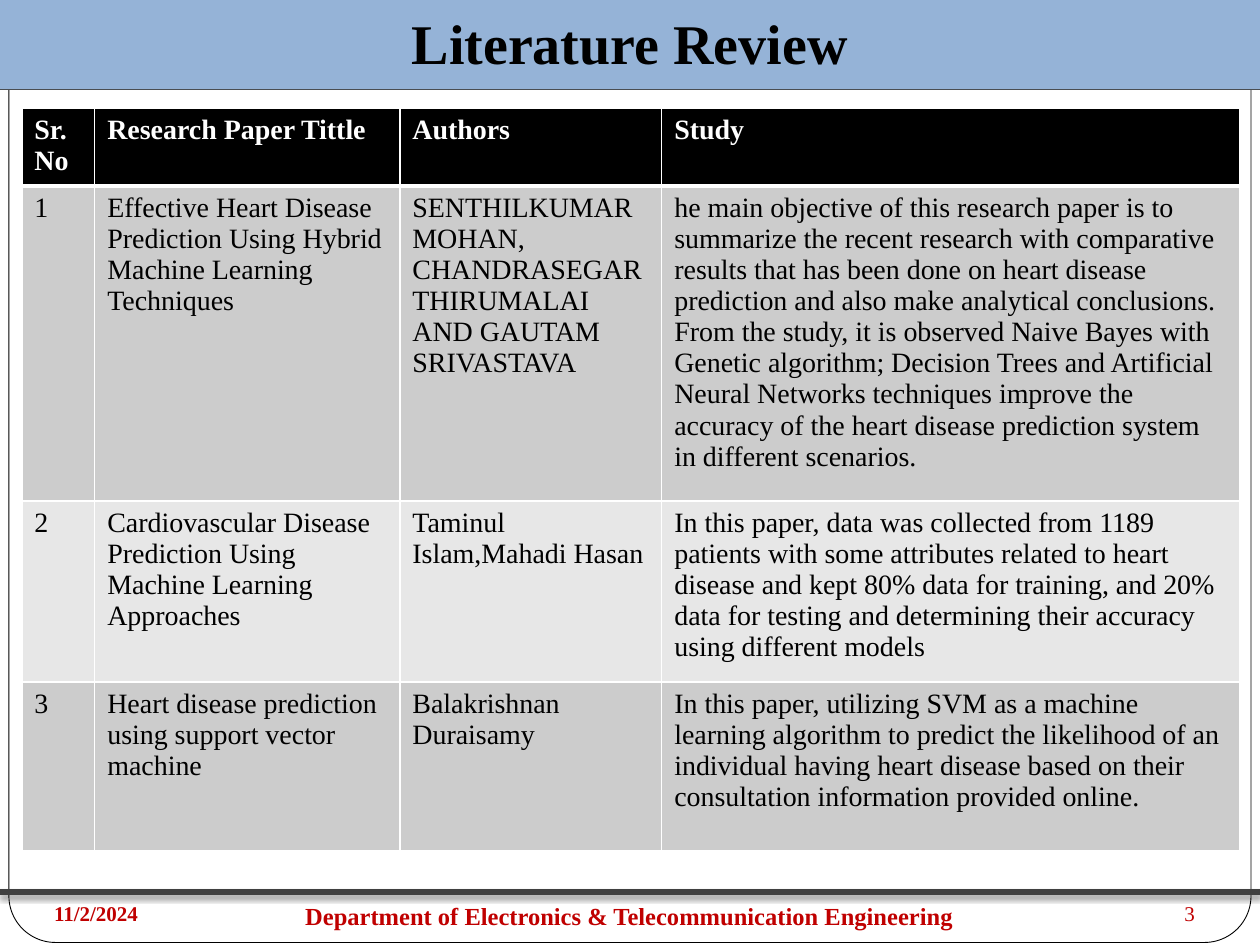
"""Build a literature review slide with a framed page, a table and a footer."""
from dataclasses import dataclass

import pptx
import pptx.dml.color
import pptx.enum.shapes
import pptx.enum.text
import pptx.oxml
import pptx.oxml.ns
import pptx.util

Cm, Pt = pptx.util.Cm, pptx.util.Pt
Kind = pptx.enum.shapes.MSO_SHAPE
Align = pptx.enum.text.PP_ALIGN
Anchor = pptx.enum.text.MSO_ANCHOR
SPACE = pptx.oxml.ns.nsdecls("a")
WIDE, HIGH = 25.4, 19.05


@dataclass
class Panel:
    kind: Kind
    box: tuple[float, float, float, float]
    fill: str
    line: str | None = None
    width: float = 0


@dataclass
class Note:
    text: str
    left: float
    width: float
    size: int
    align: Align
    bold: bool


PANELS = [
    Panel(Kind.ROUNDED_RECTANGLE, (0.18, 0.2, 25.04, 18.8), "FFFFFF", "000000", 0.5),
    Panel(Kind.RECTANGLE, (0, 0, 25.48, 1.8), "8EB4E3", "404040", 0.75),
    Panel(Kind.RECTANGLE, (0, 0, 25.48, 1.8), "95B3D7"),
]
NOTES = [
    Note("11/2/2024", 0.84, 5.92, 12, Align.LEFT, True),
    Note("Department of Electronics & Telecommunication Engineering",
         4.65, 16.08, 14, Align.CENTER, True),
    Note("3", 18.42, 5.92, 12, Align.RIGHT, False),
]
COLS = [1.47, 6.15, 5.28, 11.65]
ROWS = [1.57, 6.35, 3.65, 3.41]
FILLS = ["000000", "CCCCCC", "E7E7E7", "CCCCCC"]
CELLS = [
    ["Sr.No", "Research Paper Tittle", "Authors", "Study"],
    ["1",
     "Effective Heart Disease Prediction Using Hybrid Machine Learning Techniques",
     "SENTHILKUMAR MOHAN,\nCHANDRASEGAR THIRUMALAI\nAND GAUTAM SRIVASTAVA",
     "he main objective of this research paper is to summarize the recent research "
     "with comparative results that has been done on heart disease prediction and "
     "also make analytical conclusions. From the study, it is observed Naive Bayes "
     "with Genetic algorithm; Decision Trees and Artificial Neural Networks "
     "techniques improve the accuracy of the heart disease prediction system in "
     "different scenarios."],
    ["2",
     "Cardiovascular Disease Prediction Using Machine Learning Approaches",
     "Taminul Islam,Mahadi Hasan",
     "In this paper, data was collected from 1189 patients with some attributes "
     "related to heart disease and kept 80% data for training, and 20% data for "
     "testing and determining their accuracy using different models"],
    ["3",
     "Heart disease prediction using support vector machine",
     "Balakrishnan Duraisamy",
     "In this paper, utilizing SVM as a machine learning algorithm to predict the "
     "likelihood of an individual having heart disease based on their consultation "
     "information provided online."],
]


def paint(form, code: str) -> None:
    """Give a fill one solid colour."""
    form.solid()
    form.fore_color.rgb = pptx.dml.color.RGBColor.from_string(code)


def write(frame, text: str, code: str, align: Align = Align.LEFT, **form) -> None:
    """Put text in a frame and format every run."""
    frame.text = text
    frame.word_wrap = True
    for para in frame.paragraphs:
        para.alignment = align
        for run in para.runs:
            paint(run.font.fill, code)
            for key, value in {"name": "Times New Roman", **form}.items():
                setattr(run.font, key, value)


def add_panel(shapes, panel: Panel) -> None:
    """Draw a filled panel."""
    shape = shapes.add_shape(panel.kind, *map(Cm, panel.box))
    shape.shadow.inherit = False
    paint(shape.fill, panel.fill)
    if panel.kind == Kind.ROUNDED_RECTANGLE:
        shape.adjustments[0] = 0.05
    if panel.line:
        paint(shape.line.fill, panel.line)
        shape.line.width = Pt(panel.width)
    else:
        shape.line.fill.background()


def add_rule(shapes, top: float) -> None:
    """Draw the footer rule with its soft shadow."""
    rule = shapes.add_connector(
        pptx.enum.shapes.MSO_CONNECTOR.STRAIGHT, 0, Cm(top), Cm(WIDE), Cm(top))
    paint(rule.line.fill, "404040")
    rule.line.width = Pt(3)
    rule.element.spPr.append(pptx.oxml.parse_xml(
        f'<a:effectLst {SPACE}><a:outerShdw blurRad="{Pt(3)}" dist="{Pt(2)}" '
        'dir="5400000" rotWithShape="0"><a:srgbClr val="000000">'
        '<a:alpha val="50000"/></a:srgbClr></a:outerShdw></a:effectLst>'))


def add_note(shapes, note: Note) -> None:
    """Write one footer text."""
    box = shapes.add_textbox(Cm(note.left), Cm(18.03), Cm(note.width), Cm(1.02))
    write(box.text_frame, note.text, "C00000", note.align,
          size=Pt(note.size), bold=note.bold)


def edge(cell, row: int) -> None:
    """Draw white cell borders, thick below the header."""
    sides = {"L": 1, "R": 1, "T": 3 if row == 1 else 1, "B": 3 if row == 0 else 1}
    props = cell._tc.get_or_add_tcPr()
    for spot, (side, width) in enumerate(sides.items()):
        props.insert(spot, pptx.oxml.parse_xml(
            f'<a:ln{side} {SPACE} w="{Pt(width)}"><a:solidFill>'
            f'<a:srgbClr val="FFFFFF"/></a:solidFill></a:ln{side}>'))


def add_grid(shapes) -> None:
    """Draw the table of papers."""
    grid = shapes.add_table(len(ROWS), len(COLS), Cm(0.44), Cm(2.18),
                            Cm(sum(COLS)), Cm(sum(ROWS))).table
    for col, width in zip(grid.columns, COLS):
        col.width = Cm(width)
    for row, texts in enumerate(CELLS):
        grid.rows[row].height = Cm(ROWS[row])
        head = row == 0
        for col, text in enumerate(texts):
            cell = grid.cell(row, col)
            paint(cell.fill, FILLS[row])
            write(cell.text_frame, text, "FFFFFF" if head else "000000",
                  size=Pt(16), bold=head)
            edge(cell, row)


def set_title(shapes) -> None:
    """Place the title above the band."""
    title = shapes.title
    place = {"left": 0, "top": 0, "width": Cm(WIDE), "height": Cm(1.7)}
    for key, value in place.items():
        setattr(title, key, value)
    write(title.text_frame, "Literature Review", "000000", Align.CENTER,
          size=Pt(32), bold=True)
    title.text_frame.vertical_anchor = Anchor.MIDDLE
    shapes.element.append(title.element)


def main() -> None:
    """Build and save the deck."""
    deck = pptx.Presentation()
    deck.slide_width, deck.slide_height = Cm(WIDE), Cm(HIGH)
    shapes = deck.slides.add_slide(deck.slide_layouts[5]).shapes
    for panel in PANELS:
        add_panel(shapes, panel)
    add_rule(shapes, 17.98)
    for note in NOTES:
        add_note(shapes, note)
    set_title(shapes)
    add_grid(shapes)
    deck.save("out.pptx")


if __name__ == "__main__":
    main()
